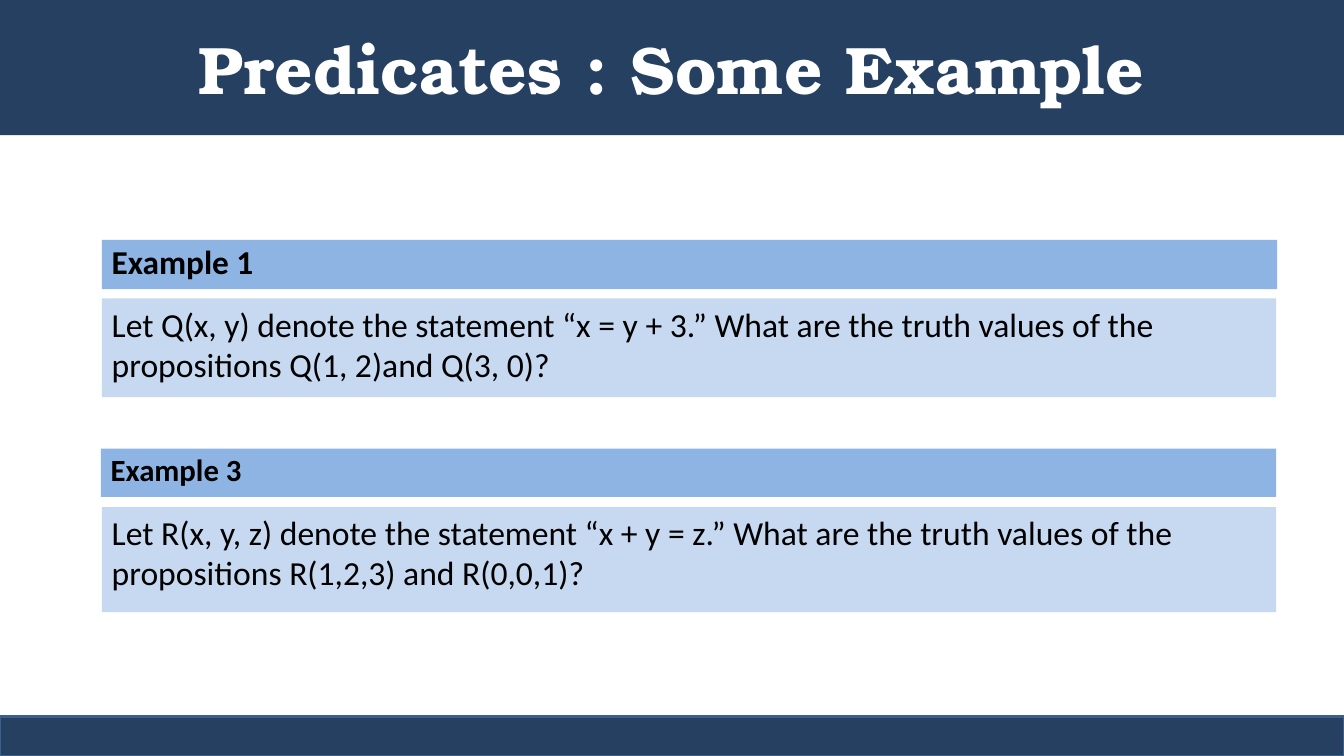
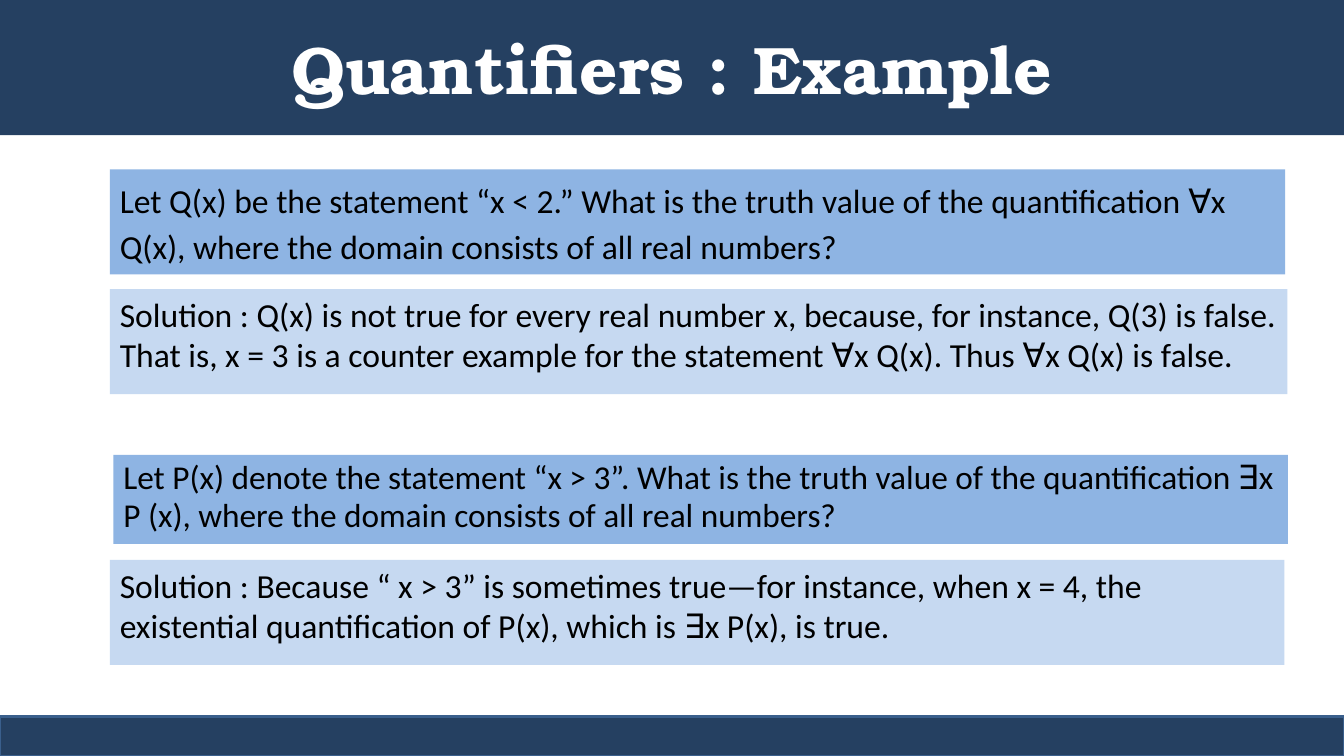
from pptx import Presentation
from pptx.dml.color import RGBColor
from pptx.enum.shapes import MSO_SHAPE
from pptx.enum.text import MSO_ANCHOR, PP_ALIGN
from pptx.util import Pt

NAVY, EDGE = "254061", "3A5F8C"
BLUE, PALE = "8EB4E3", "C6D9F1"
BLACK, WHITE = "000000", "FFFFFF"
WIDTH, HEIGHT = 960, 540
TITLE_H, FOOTER_H = 96.5, 28


def rgb(color):
    return RGBColor.from_string(color)


def add_box(s, x, y, w, h, fill, text="", size=24, bold=False, spacing=1.0,
            font="Calibri", color=BLACK, align=PP_ALIGN.LEFT, anchor=MSO_ANCHOR.TOP):
    sp = s.shapes.add_shape(MSO_SHAPE.RECTANGLE, Pt(x), Pt(y), Pt(w), Pt(h))
    sp.shadow.inherit = False
    sp.fill.solid()
    sp.fill.fore_color.rgb = rgb(fill)
    sp.line.fill.background()
    tf = sp.text_frame
    tf.word_wrap = True
    tf.vertical_anchor = anchor
    tf.text = text
    p = tf.paragraphs[0]
    p.alignment = align
    p.line_spacing = spacing
    for r in p.runs:
        r.font.name = font
        r.font.size = Pt(size)
        r.font.bold = bold
        r.font.color.rgb = rgb(color)
    return sp


slides = [
    ("Predicates : Some Example", [
        (72.7, 171.3, 839.6, 35.3, BLUE, "Example 1", 23.8, True, 0.94),
        (72.7, 213.2, 838.8, 70.5, PALE,
         "Let Q(x, y) denote the statement “x = y + 3.” What are the truth values "
         "of the propositions Q(1, 2)and Q(3, 0)?"),
        (72, 320.5, 839.5, 34.5, BLUE, "Example 3", 22, True, 0.94),
        (72.7, 362.2, 838.8, 75, PALE,
         "Let R(x, y, z) denote the statement “x + y = z.” What are the truth values "
         "of the propositions R(1,2,3) and R(0,0,1)?"),
    ]),
    ("Quantifiers : Example", [
        (78.5, 121, 839.5, 75, BLUE,
         "Let Q(x) be the statement “x < 2.” What is the truth value of the "
         "quantification ∀x Q(x), where the domain consists of all real numbers?",
         24, False, 1.14),
        (78.5, 206.5, 841, 75, PALE,
         "Solution : Q(x) is not true for every real number x, because, for instance, "
         "Q(3) is false. That is, x = 3 is a counter example for the statement "
         "∀x Q(x). Thus ∀x Q(x) is false."),
        (81, 325, 839, 63.5, BLUE,
         "Let P(x) denote the statement “x > 3”. What is the truth value of the "
         "quantification ∃x P (x), where the domain consists of all real numbers?",
         23.8, False, 0.94),
        (78.5, 400, 839, 75, PALE,
         "Solution : Because “ x > 3” is sometimes true—for instance, when x = 4, "
         "the existential quantification of P(x), which is ∃x P(x), is true."),
    ]),
]

prs = Presentation()
prs.slide_width, prs.slide_height = Pt(WIDTH), Pt(HEIGHT)

for title, boxes in slides:
    s = prs.slides.add_slide(prs.slide_layouts[6])
    add_box(s, 0, 0, WIDTH, TITLE_H, NAVY, title, 48, True, font="TeX Gyre Bonum",
            color=WHITE, align=PP_ALIGN.CENTER, anchor=MSO_ANCHOR.MIDDLE)
    footer = add_box(s, 0, HEIGHT - FOOTER_H, WIDTH, FOOTER_H, NAVY)
    footer.line.color.rgb = rgb(EDGE)
    footer.line.width = Pt(2)
    for box in boxes:
        add_box(s, *box)

prs.save("out.pptx")
